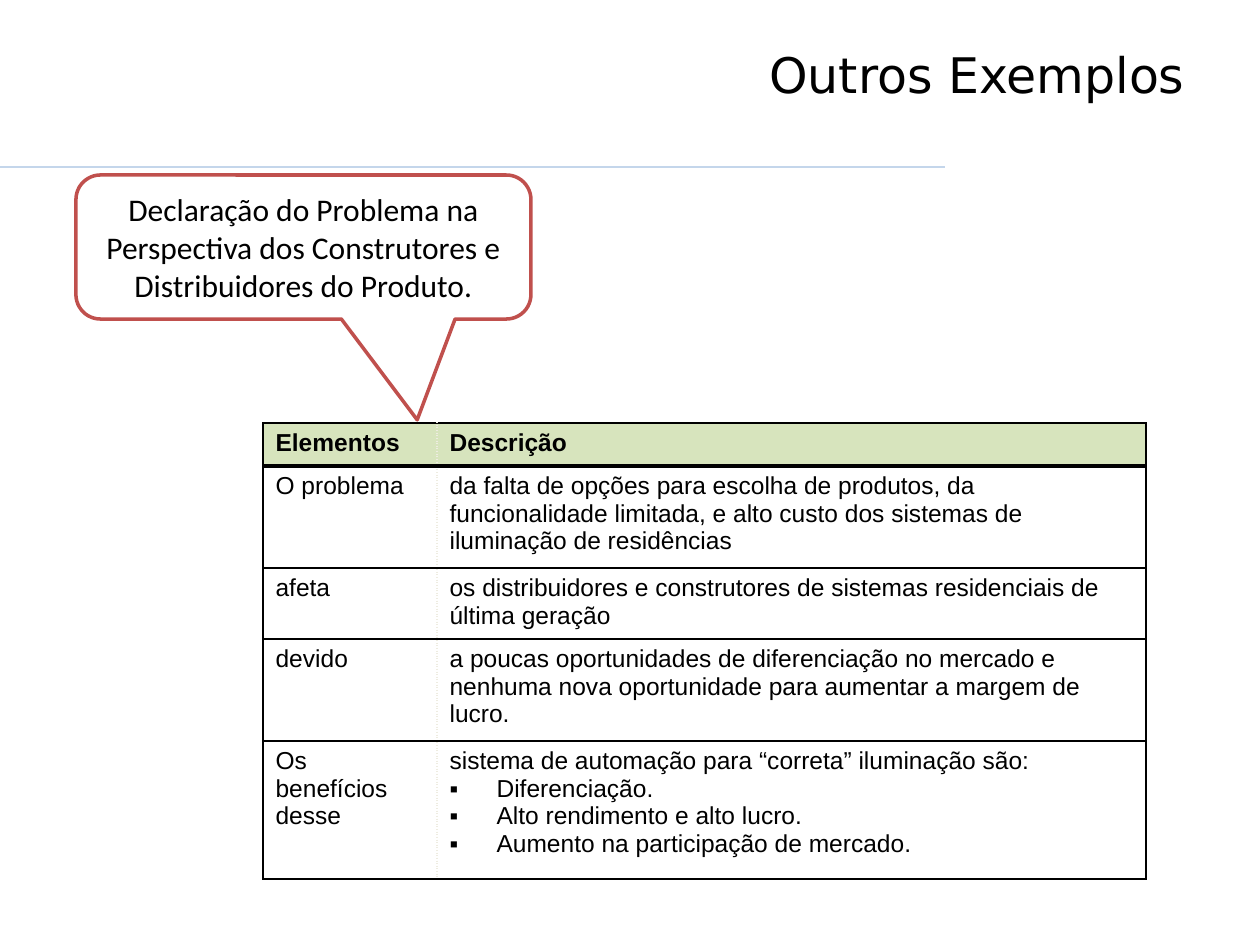
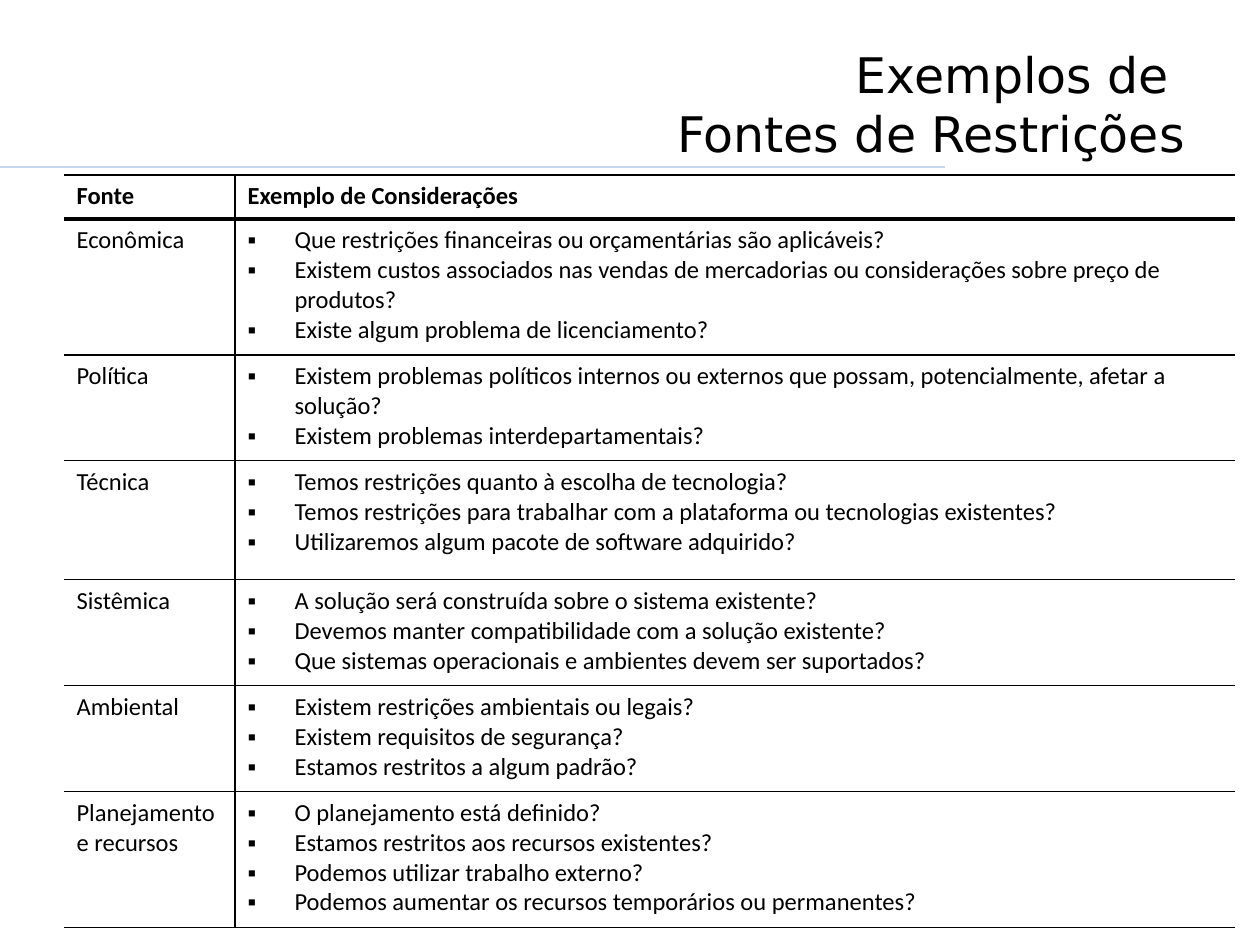
from dataclasses import dataclass
from typing import Optional

from lxml import etree
from pptx import Presentation
from pptx.dml.color import RGBColor
from pptx.enum.shapes import MSO_CONNECTOR, MSO_SHAPE
from pptx.enum.text import MSO_ANCHOR, MSO_AUTO_SIZE, PP_ALIGN
from pptx.oxml.ns import qn
from pptx.util import Emu, Pt

RIGHT, CENTER = PP_ALIGN.RIGHT, PP_ALIGN.CENTER
TOP, MIDDLE = MSO_ANCHOR.TOP, MSO_ANCHOR.MIDDLE
NO_FIT = MSO_AUTO_SIZE.NONE
STRAIGHT = MSO_CONNECTOR.STRAIGHT
CALLOUT = MSO_SHAPE.ROUNDED_RECTANGULAR_CALLOUT

PX_PER_INCH = 126
TITLE_ONLY = 5
BULLET_INDENT = 47
COLORS = {
    "ink": "000000",
    "paper": "FFFFFF",
    "rule": "C4D6EB",
    "header": "D7E4BD",
    "dots": "EEECE1",
    "callout": "C0504D",
}
FORMATS = {
    "title": {"name": "DejaVu Sans", "size": Pt(28), "bold": False},
    "callout": {"name": "Calibri", "size": Pt(18)},
}


@dataclass(frozen=True)
class Border:
    width: float
    color: str = "ink"
    dash: str = "solid"


@dataclass(frozen=True)
class Row:
    height: int
    label: str
    lead: str = ""
    bullets: tuple[str, ...] = ()


@dataclass(frozen=True)
class TableSpec:
    left: int
    top: int
    col_widths: tuple[int, int]
    font: str
    rows: tuple[Row, ...]
    row_line: Border
    col_line: Border
    side_line: Optional[Border] = None
    header_fill: Optional[str] = None


THIN, MEDIUM, THICK = Border(0.75), Border(1), Border(3)

PROBLEM = TableSpec(
    263, 423, (174, 709), "Arial",
    (
        Row(43, "Elementos", "Descrição"),
        Row(102, "O problema",
            "da falta de opções para escolha de produtos, da funcionalidade "
            "limitada, e alto custo dos sistemas de iluminação de residências"),
        Row(71, "afeta",
            "os distribuidores e construtores de sistemas residenciais de "
            "última geração"),
        Row(102, "devido",
            "a poucas oportunidades de diferenciação no mercado e nenhuma "
            "nova oportunidade para aumentar a margem de lucro."),
        Row(138, "Os benefícios desse",
            "sistema de automação para “correta” iluminação são:",
            ("Diferenciação.",
             "Alto rendimento e alto lucro.",
             "Aumento na participação de mercado.")),
    ),
    row_line=MEDIUM, col_line=Border(1, "dots", "sysDot"),
    side_line=THIN, header_fill="header",
)

CONSTRAINTS = TableSpec(
    64, 175, (171, 1000), "Calibri",
    (
        Row(44, "Fonte", "Exemplo de Considerações"),
        Row(136, "Econômica", bullets=(
            "Que restrições financeiras ou orçamentárias são aplicáveis?",
            "Existem custos associados nas vendas de mercadorias ou "
            "considerações sobre preço de produtos?",
            "Existe algum problema de licenciamento?")),
        Row(106, "Política", bullets=(
            "Existem problemas políticos internos ou externos que possam, "
            "potencialmente, afetar a solução?",
            "Existem problemas interdepartamentais?")),
        Row(119, "Técnica", bullets=(
            "Temos restrições quanto à escolha de tecnologia?",
            "Temos restrições para trabalhar com a plataforma ou "
            "tecnologias existentes?",
            "Utilizaremos algum pacote de software adquirido?")),
        Row(106, "Sistêmica", bullets=(
            "A solução será construída sobre o sistema existente?",
            "Devemos manter compatibilidade com a solução existente?",
            "Que sistemas operacionais e ambientes devem ser suportados?")),
        Row(106, "Ambiental", bullets=(
            "Existem restrições ambientais ou legais?",
            "Existem requisitos de segurança?",
            "Estamos restritos a algum padrão?")),
        Row(136, "Planejamento e recursos", bullets=(
            "O planejamento está definido?",
            "Estamos restritos aos recursos existentes?",
            "Podemos utilizar trabalho externo?",
            "Podemos aumentar os recursos temporários ou permanentes?")),
    ),
    row_line=THIN, col_line=THIN,
)


def px(n: int) -> Emu:
    return Emu(round(n * 914400 / PX_PER_INCH))


def rgb(name: str) -> RGBColor:
    return RGBColor.from_string(COLORS[name])


def style_font(font, fmt: dict) -> None:
    for key, value in fmt.items():
        setattr(font, key, value)
    font.color.rgb = rgb("ink")


def add_run(p, text: str, fmt: dict) -> None:
    r = p.add_run()
    r.text = text
    style_font(r.font, fmt)


def add_bullet(p) -> None:
    pPr = p._p.get_or_add_pPr()
    pPr.set("marL", str(px(BULLET_INDENT)))
    pPr.set("indent", str(-px(BULLET_INDENT)))
    etree.SubElement(pPr, qn("a:buFont"), typeface="Arial")
    etree.SubElement(pPr, qn("a:buChar"), char="▪")


def set_borders(cell, borders: dict[str, Optional[Border]]) -> None:
    tcPr = cell._tc.get_or_add_tcPr()
    for i, (side, border) in enumerate(borders.items()):
        ln = etree.Element(qn(f"a:ln{side}"))
        tcPr.insert(i, ln)
        if border is None:
            etree.SubElement(ln, qn("a:noFill"))
            continue
        ln.set("w", str(Pt(border.width)))
        fill = etree.SubElement(ln, qn("a:solidFill"))
        etree.SubElement(fill, qn("a:srgbClr"), val=COLORS[border.color])
        etree.SubElement(ln, qn("a:prstDash"), val=border.dash)


def fill_cell(cell, lines: list[tuple[str, bool]], fmt: dict) -> None:
    tf = cell.text_frame
    for i, (text, bulleted) in enumerate(lines):
        p = tf.add_paragraph() if i else tf.paragraphs[0]
        if bulleted:
            add_bullet(p)
        add_run(p, text, fmt)


def add_grid(s, spec: TableSpec) -> None:
    count = len(spec.rows)
    size = sum(spec.col_widths), sum(row.height for row in spec.rows)
    table = s.shapes.add_table(
        count, 2, *map(px, (spec.left, spec.top, *size))).table
    table.first_row = table.horz_banding = False
    for col, width in zip(table.columns, spec.col_widths):
        col.width = px(width)
    row_lines = [MEDIUM, THICK, *[spec.row_line] * (count - 2), MEDIUM]
    col_lines = [spec.side_line, spec.col_line, spec.side_line]
    for i, row in enumerate(spec.rows):
        table.rows[i].height = px(row.height)
        details = [(row.lead, False)] if row.lead else []
        details += [(text, True) for text in row.bullets]
        fmt = {"name": spec.font, "size": Pt(14), "bold": i == 0}
        for j, lines in enumerate(([(row.label, False)], details)):
            cell = table.cell(i, j)
            if i == 0 and spec.header_fill:
                cell.fill.solid()
                cell.fill.fore_color.rgb = rgb(spec.header_fill)
            else:
                cell.fill.background()
            set_borders(cell, {
                "L": col_lines[j], "R": col_lines[j + 1],
                "T": row_lines[i], "B": row_lines[i + 1],
            })
            fill_cell(cell, lines, fmt)


def add_rule(s) -> None:
    line = s.shapes.add_connector(STRAIGHT, *map(px, (0, 167, 945, 167)))
    line.line.color.rgb = rgb("rule")
    line.line.width = Pt(0.75)
    etree.SubElement(line._element.spPr, qn("a:effectLst"))


def add_slide(prs, title: str):
    s = prs.slides.add_slide(prs.slide_layouts[TITLE_ONLY])
    add_rule(s)
    sp = s.shapes.title
    sp.left, sp.top, sp.width, sp.height = map(px, (63, 38, 1134, 157))
    tf = sp.text_frame
    tf.text = title
    for key, value in {"vertical_anchor": TOP, "word_wrap": True,
                       "auto_size": NO_FIT}.items():
        setattr(tf, key, value)
    p = tf.paragraphs[0]
    p.alignment = RIGHT
    for r in p.runs:
        style_font(r.font, FORMATS["title"])
    return s


def add_callout(s, text: str) -> None:
    sp = s.shapes.add_shape(CALLOUT, *map(px, (76, 175, 455, 144)))
    sp.shadow.inherit = False
    for i, value in enumerate((0.25, 1.2, 0.17)):
        sp.adjustments[i] = value
    sp.fill.solid()
    sp.fill.fore_color.rgb = rgb("paper")
    sp.line.color.rgb = rgb("callout")
    sp.line.width = Pt(2)
    tf = sp.text_frame
    tf.word_wrap = True
    tf.vertical_anchor = MIDDLE
    p = tf.paragraphs[0]
    p.alignment = CENTER
    add_run(p, text, FORMATS["callout"])


def main() -> None:
    prs = Presentation()
    prs.slide_width, prs.slide_height = px(1260), px(945)

    s = add_slide(prs, "Outros Exemplos")
    add_grid(s, PROBLEM)
    add_callout(s, "Declaração do Problema na Perspectiva dos Construtores e "
                   "Distribuidores do Produto.")

    s = add_slide(prs, "Exemplos de \vFontes de Restrições")
    add_grid(s, CONSTRAINTS)

    prs.save("out.pptx")


if __name__ == "__main__":
    main()
